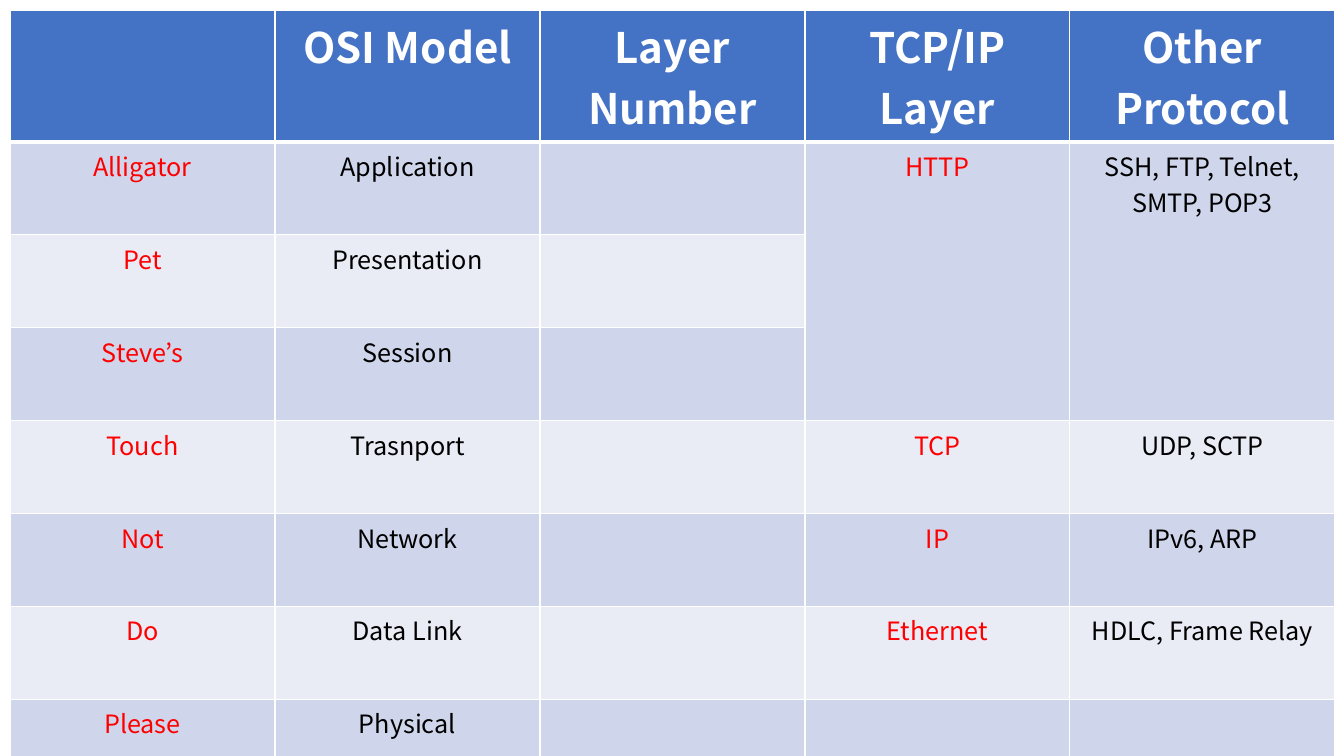
import pptx
import pptx.util
import pptx.dml.color
import pptx.enum.text
import pptx.oxml
import pptx.oxml.ns

RGB = pptx.dml.color.RGBColor
WHITE = RGB(0xFF, 0xFF, 0xFF)
BLACK = RGB(0, 0, 0)
RED = RGB(0xFF, 0, 0)
HEADER_BLUE = RGB(0x44, 0x72, 0xC4)
BANDS = (RGB(0xCF, 0xD5, 0xEA), RGB(0xE9, 0xEB, 0xF5))
SCALE = 914400 / 100.8

HEADINGS = ["", "OSI Model", "Layer Number", "TCP/IP\nLayer", "Other\nProtocol"]
LAYERS = [
    ["Alligator", "Application", "", "HTTP", "SSH, FTP, Telnet, SMTP, POP3"],
    ["Pet", "Presentation", "", "", ""],
    ["Steve’s", "Session", "", "", ""],
    ["Touch", "Trasnport", "", "TCP", "UDP, SCTP"],
    ["Not", "Network", "", "IP", "IPv6, ARP"],
    ["Do", "Data Link", "", "Ethernet", "HDLC, Frame Relay"],
    ["Please", "Physical", "", "", ""],
]
RED_COLUMNS = (0, 3)
MERGED_COLUMNS = (3, 4)


def px(length):
    """Turn pixels into EMU."""
    return pptx.util.Emu(round(length * SCALE))


def write_text(frame, text, *, font, size, color, bold=False):
    """Fill a text frame with centred paragraphs, one per line of text."""
    for index, line in enumerate(text.split("\n")):
        para = frame.add_paragraph() if index else frame.paragraphs[0]
        para.alignment = pptx.enum.text.PP_ALIGN.CENTER
        span = para.add_run()
        span.text = line
        span.font.name = font
        span.font.size = pptx.util.Pt(size)
        span.font.bold = bold
        span.font.color.rgb = color


class SlideWriter:
    """Holds the style and the current slide."""

    font = "Noto Sans CJK KR"
    heading_size = 30
    body_size = 18

    def __init__(self, page):
        """Keep the slide to draw on."""
        self.page = page

    def table(self, rows, left, top, column_width, row_height):
        """Add a plain table with equal columns and rows."""
        count = len(rows[0])
        frame = self.page.shapes.add_table(
            len(rows), count, px(left), px(top),
            px(column_width * count), px(row_height * len(rows)))
        grid = frame.table
        grid.first_row = grid.horz_banding = False
        for column in grid.columns:
            column.width = px(column_width)
        for row_index, texts in enumerate(rows):
            grid.rows[row_index].height = px(row_height)
            for column_index, text in enumerate(texts):
                self.cell(grid.cell(row_index, column_index), text,
                          row_index, column_index)
        return grid

    def cell(self, cell, text, row, column):
        """Format one cell by its place in the table."""
        heading = row == 0
        self.borders(cell, top=3 if row == 1 else 1, bottom=3 if heading else 1)
        cell.fill.solid()
        cell.fill.fore_color.rgb = HEADER_BLUE if heading else BANDS[(row - 1) % 2]
        if not text:
            return
        if heading:
            write_text(cell.text_frame, text, font=self.font,
                       size=self.heading_size, color=WHITE, bold=True)
        else:
            write_text(cell.text_frame, text, font=self.font, size=self.body_size,
                       color=RED if column in RED_COLUMNS else BLACK)

    def borders(self, cell, top, bottom):
        """Draw white lines round a cell, with widths in points."""
        properties = cell._tc.get_or_add_tcPr()
        for side, width in (("L", 1), ("R", 1), ("T", top), ("B", bottom)):
            properties.append(pptx.oxml.parse_xml(
                f'<a:ln{side} {pptx.oxml.ns.nsdecls("a")} w="{pptx.util.Pt(width)}">'
                f'<a:solidFill><a:srgbClr val="{WHITE}"/></a:solidFill></a:ln{side}>'))


def main():
    """Build the deck and save it."""
    deck = pptx.Presentation()
    deck.slide_width = px(1344)
    deck.slide_height = px(756)
    writer = SlideWriter(deck.slides.add_slide(deck.slide_layouts[6]))
    grid = writer.table([HEADINGS] + LAYERS, left=10, top=10,
                        column_width=265, row_height=93)
    for column in MERGED_COLUMNS:
        grid.cell(1, column).merge(grid.cell(3, column))
    deck.save("out.pptx")


main()
